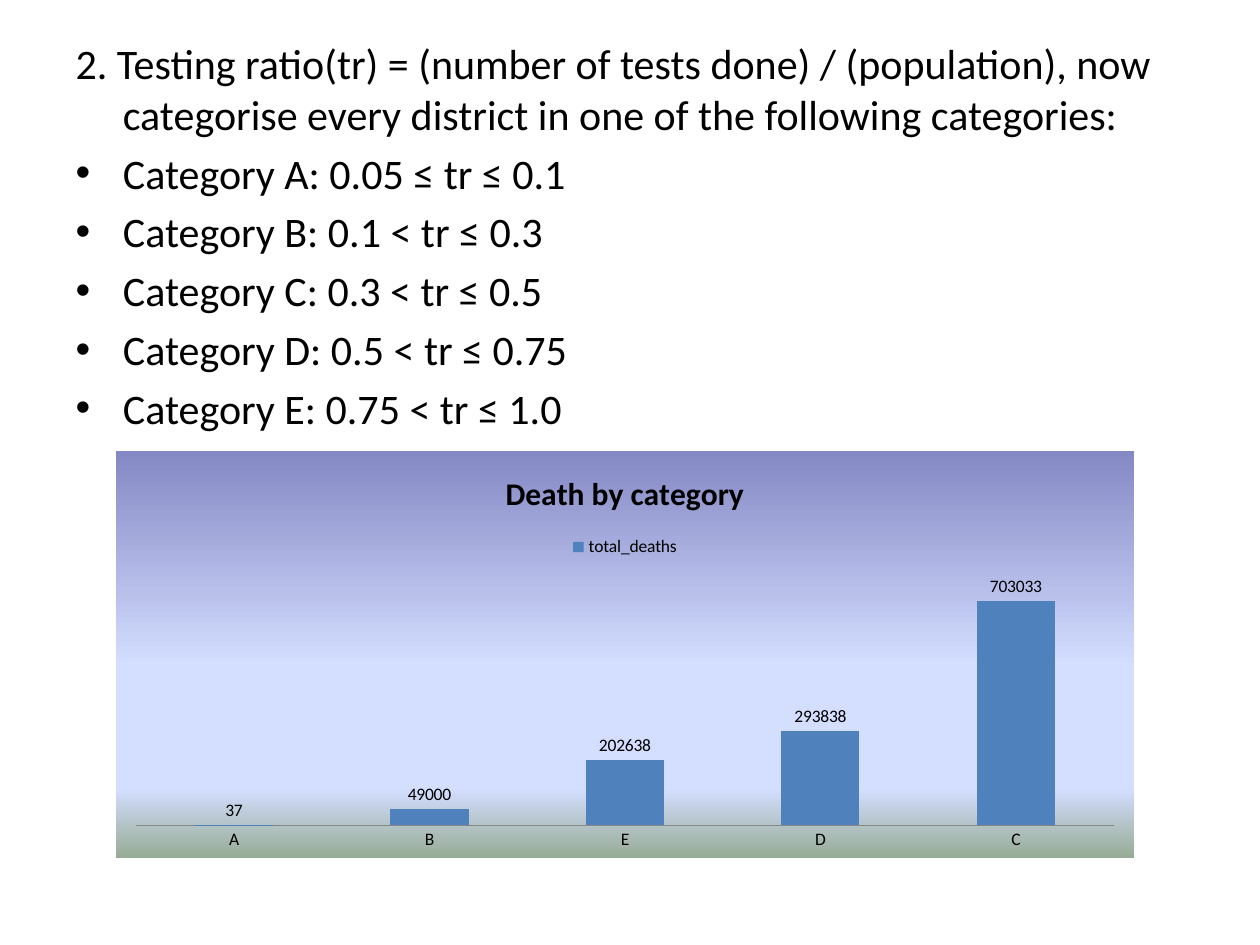
import pptx
import pptx.chart.data
import pptx.dml.color
import pptx.enum.chart
import pptx.enum.text
import pptx.oxml
import pptx.oxml.ns
import pptx.util
from pptx.util import Inches

COLORS = {"text": "000000", "bar": "4F81BD", "axis": "868686",
          "dusk": "8488C4", "sky": "D4DEFF", "grass": "96AB94"}
GRADIENT = [(0, "dusk"), (53, "sky"), (83, "sky"), (100, "grass")]
FONT = "Calibri"

INTRO = ("2. Testing ratio(tr) = (number of tests done) / (population), "
         "now categorise every district in one of the following categories:")
CATEGORIES = {"A": "0.05 ≤ tr ≤ 0.1", "B": "0.1 < tr ≤ 0.3",
              "C": "0.3 < tr ≤ 0.5", "D": "0.5 < tr ≤ 0.75",
              "E": "0.75 < tr ≤ 1.0"}
DEATHS = {"A": 37, "B": 49000, "E": 202638, "D": 293838, "C": 703033}


def rgb(name):
    return pptx.dml.color.RGBColor.from_string(COLORS[name])


def set_values(target, values):
    for name, value in values.items():
        setattr(target, name, value)


def set_font(font, size, bold=False):
    set_values(font, {"name": FONT, "size": pptx.util.Pt(size), "bold": bold})
    font.color.rgb = rgb("text")


def place_list(page, box):
    """Numbered question followed by the bulleted category ranges."""
    body = page.placeholders[1]
    set_values(body, dict(zip(("left", "top", "width", "height"), box)))
    frame = body.text_frame
    frame.auto_size = pptx.enum.text.MSO_AUTO_SIZE.NONE
    lines = [INTRO] + [f"Category {name}: {limits}"
                       for name, limits in CATEGORIES.items()]
    for number, line in enumerate(lines):
        para = frame.add_paragraph() if number else frame.paragraphs[0]
        span = para.add_run()
        span.text = line
        set_font(span.font, 24)
    # The question keeps the hanging indent but has no bullet
    intro_format = frame.paragraphs[0]._p.get_or_add_pPr()
    intro_format.append(pptx.oxml.parse_xml(
        f"<a:buNone {pptx.oxml.ns.nsdecls('a')}/>"))


def fill_chart_area(chart):
    """Vertical gradient behind the whole chart."""
    stops = "".join(f'<a:gs pos="{pos * 1000}"><a:srgbClr val="{COLORS[name]}"/></a:gs>'
                    for pos, name in GRADIENT)
    area = pptx.oxml.parse_xml(
        f"<c:spPr {pptx.oxml.ns.nsdecls('c', 'a')}><a:gradFill><a:gsLst>{stops}</a:gsLst>"
        '<a:lin ang="5400000" scaled="0"/></a:gradFill><a:ln><a:noFill/></a:ln></c:spPr>')
    chart._chartSpace.find(pptx.oxml.ns.qn("c:chart")).addnext(area)


def place_chart(page, box):
    """Column chart of deaths per category."""
    kinds = pptx.enum.chart
    data = pptx.chart.data.CategoryChartData()
    data.categories = list(DEATHS)
    data.add_series("total_deaths", list(DEATHS.values()))
    chart = page.shapes.add_chart(kinds.XL_CHART_TYPE.COLUMN_CLUSTERED, *box, data).chart
    set_font(chart.font, 10)
    fill_chart_area(chart)

    # Title and legend
    title = chart.chart_title.text_frame
    title.text = "Death by category"
    set_font(title.paragraphs[0].runs[0].font, 18, bold=True)
    chart.has_legend = True
    set_values(chart.legend, {"position": kinds.XL_LEGEND_POSITION.TOP,
                              "include_in_layout": False})

    # Axes
    set_values(chart.value_axis, {"visible": False, "has_major_gridlines": False,
                                  "minimum_scale": 0})
    chart.category_axis.major_tick_mark = kinds.XL_TICK_MARK.NONE
    chart.category_axis.format.line.color.rgb = rgb("axis")

    # Columns and their labels
    plot = chart.plots[0]
    set_values(plot, {"gap_width": 150, "vary_by_categories": False,
                      "has_data_labels": True})
    set_values(plot.data_labels, {"show_value": True,
                                  "position": kinds.XL_LABEL_POSITION.OUTSIDE_END})
    fill = plot.series[0].format.fill
    fill.solid()
    fill.fore_color.rgb = rgb("bar")


deck = pptx.Presentation()
set_values(deck, {"slide_width": Inches(10), "slide_height": Inches(7.5)})
page = deck.slides.add_slide(deck.slide_layouts[1])
heading = page.shapes.title.element
heading.getparent().remove(heading)
place_list(page, (Inches(0.5), Inches(0.25), Inches(9), Inches(6.45)))
place_chart(page, (Inches(0.92), Inches(3.58), Inches(8.08), Inches(3.23)))
deck.save("out.pptx")
